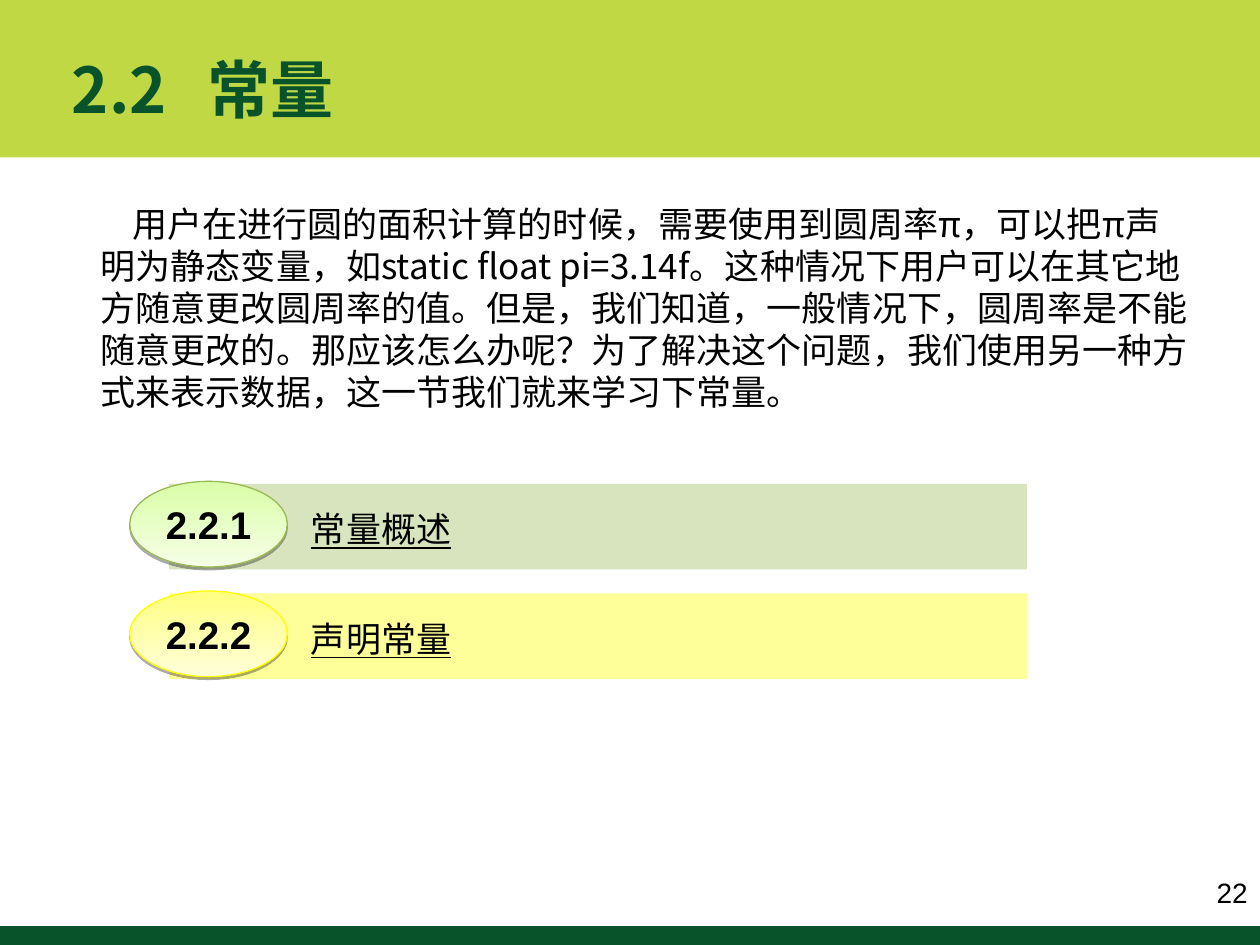
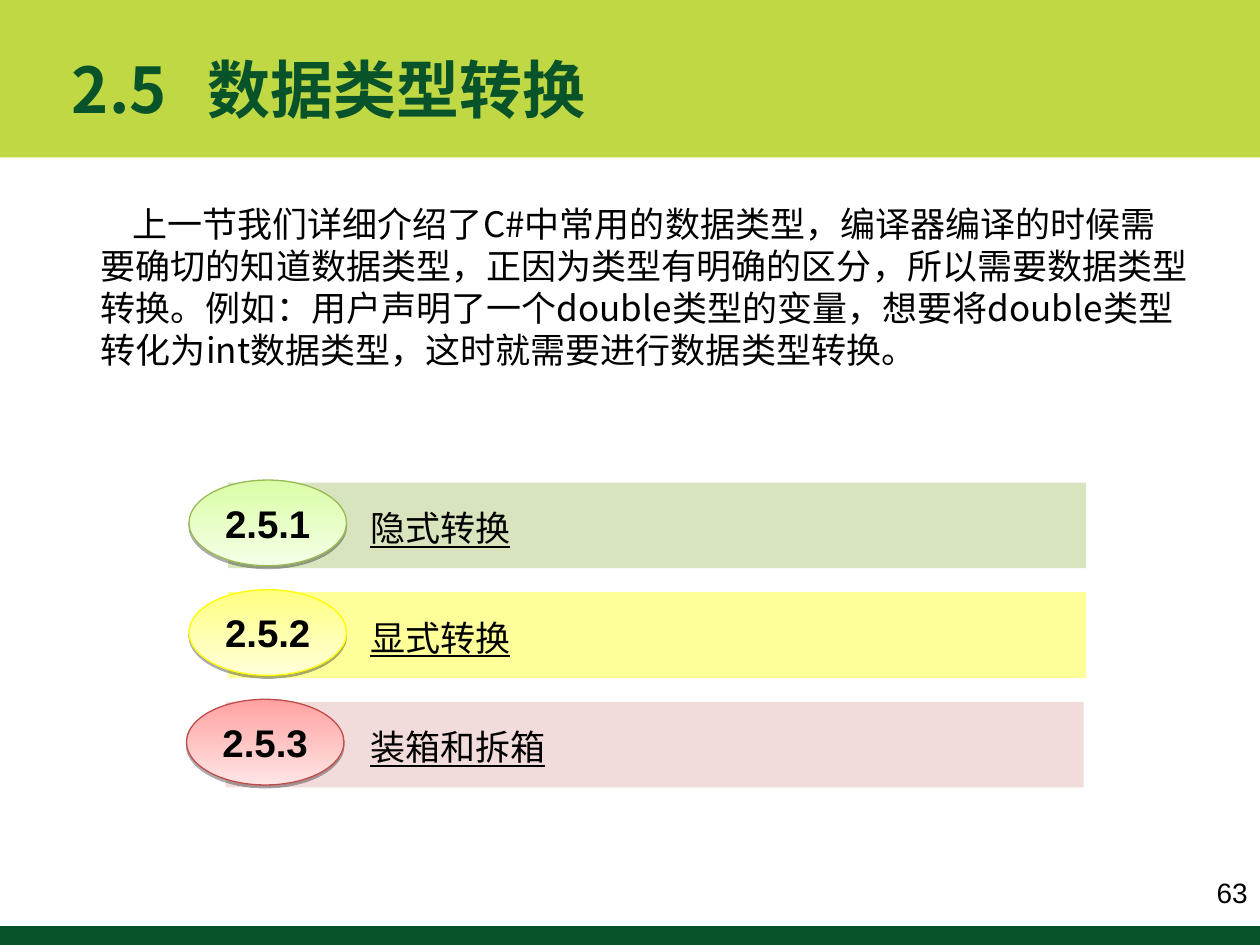
import pptx
import pptx.util
import pptx.dml.color
import pptx.enum.shapes
import pptx.enum.text
import pptx.oxml
import pptx.oxml.ns
import lxml.etree

Inches = pptx.util.Inches
Pt = pptx.util.Pt
RGB = pptx.dml.color.RGBColor.from_string
SHAPE = pptx.enum.shapes.MSO_SHAPE
ALIGN = pptx.enum.text.PP_ALIGN
ANCHOR = pptx.enum.text.MSO_ANCHOR
qn = pptx.oxml.ns.qn

COLORS = {"band": "BFD844", "dark": "09532A", "text": "000000"}
CHINESE = "Noto Sans CJK SC"

# Text formats
TITLE = {"name": CHINESE, "size": Pt(36), "bold": True, "color": "dark"}
BODY = {"name": CHINESE, "size": Pt(20), "bold": False, "color": "text"}
LINK = {**BODY, "underline": True}
NUMBER = {"name": "Arial", "size": Pt(22), "bold": True, "color": "text"}
PAGE = {"name": "Arial", "size": Pt(16), "bold": False, "color": "text"}

# One style per section row: bar fill, gradient from top to bottom, outline, sideways nudge
ROW_STYLES = [
    {"bar": "D7E4BD", "top": "DAFDA7", "bottom": "F5FFE6", "line": "98B954", "nudge": 0},
    {"bar": "FFFF99", "top": "FFFF80", "bottom": "FFFFDA", "line": "FFFF00", "nudge": 0},
    {"bar": "F2DCDB", "top": "FFA2A1", "bottom": "FFE5E5", "line": "BE4B48", "nudge": -0.02},
]
ROW_PITCH = 0.87

SLIDES = [
    {
        "section": "2.2", "title": "常量", "page": "22",
        "rows_left": 1.03, "rows_top": 3.82, "intro_height": 1.77,
        "intro": "用户在进行圆的面积计算的时候，需要使用到圆周率π，可以把π声明为静态变量，"
                 "如static float pi=3.14f。这种情况下用户可以在其它地方随意更改圆周率的值。"
                 "但是，我们知道，一般情况下，圆周率是不能随意更改的。那应该怎么办呢？"
                 "为了解决这个问题，我们使用另一种方式来表示数据，这一节我们就来学习下常量。",
        "topics": ["常量概述", "声明常量"],
    },
    {
        "section": "2.5", "title": "数据类型转换", "page": "63",
        "rows_left": 1.5, "rows_top": 3.81, "intro_height": 1.44,
        "intro": "上一节我们详细介绍了C#中常用的数据类型，编译器编译的时候需要确切的知道数据类型，"
                 "正因为类型有明确的区分，所以需要数据类型转换。例如：用户声明了一个double类型的变量，"
                 "想要将double类型转化为int数据类型，这时就需要进行数据类型转换。",
        "topics": ["隐式转换", "显式转换", "装箱和拆箱"],
    },
]


def write_text(shape, text, text_format, align=ALIGN.LEFT, anchor=ANCHOR.TOP, wrap=True):
    """Put one formatted paragraph in a shape and return the paragraph."""
    frame = shape.text_frame
    frame.word_wrap = wrap
    frame.auto_size = pptx.enum.text.MSO_AUTO_SIZE.NONE
    frame.vertical_anchor = anchor
    paragraph = frame.paragraphs[0]
    paragraph.alignment = align
    paragraph.space_before = Pt(0)
    run = paragraph.add_run()
    run.text = text
    for key, value in text_format.items():
        if key == "color":
            run.font.color.rgb = RGB(COLORS[value])
        else:
            setattr(run.font, key, value)
    east_asian = lxml.etree.SubElement(run.font._element, qn("a:ea"))
    east_asian.set("typeface", text_format["name"])
    if text_format["size"] == BODY["size"]:
        paragraph.line_spacing = Pt(24)
    return paragraph


def add_plain_shape(shapes, kind, left, top, width, height, fill):
    """Add a filled shape without outline or shadow."""
    shape = shapes.add_shape(kind, Inches(left), Inches(top), Inches(width), Inches(height))
    shape.shadow.inherit = False
    shape.fill.solid()
    shape.fill.fore_color.rgb = RGB(fill)
    shape.line.fill.background()
    return shape


presentation = pptx.Presentation()
presentation.slide_width = Inches(10)
presentation.slide_height = Inches(7.5)
first_master_shape = presentation.slide_master.shapes[0]

for slide_index, content in enumerate(SLIDES):
    slide = presentation.slides.add_slide(presentation.slide_layouts[1])

    # Bands, drawn once and moved to the back of the master
    if slide_index == 0:
        for top, height, color in [(0, 1.25, "band"), (7.35, 0.15, "dark")]:
            band = add_plain_shape(slide.shapes, SHAPE.RECTANGLE, 0, top, 10, height, COLORS[color])
            first_master_shape.element.addprevious(band.element)

    # Title, with a tab between section number and name
    title = slide.shapes.title
    title.left, title.top, title.width, title.height = map(Inches, (0.47, 0.23, 6.8, 0.95))
    paragraph = write_text(title, content["section"] + "\t" + content["title"], TITLE,
                           anchor=ANCHOR.MIDDLE)
    tabs = lxml.etree.SubElement(paragraph._p.get_or_add_pPr(), qn("a:tabLst"))
    lxml.etree.SubElement(tabs, qn("a:tab"), pos=str(Inches(1.08)), algn="l")

    # Introduction without bullet, first line indented
    intro = slide.placeholders[1]
    intro.left, intro.top, intro.width, intro.height = map(
        Inches, (0.7, 1.56, 8.83, content["intro_height"]))
    paragraph = write_text(intro, content["intro"], BODY)
    properties = paragraph._p.get_or_add_pPr()
    properties.set("marL", "0")
    properties.set("indent", str(Inches(0.25)))
    lxml.etree.SubElement(properties, qn("a:buNone"))

    # Section rows: bar and numbered ellipse in a group, then the topic
    for row, (topic, style) in enumerate(zip(content["topics"], ROW_STYLES)):
        left = content["rows_left"]
        top = content["rows_top"] + row * ROW_PITCH
        group = slide.shapes.add_group_shape()
        add_plain_shape(group.shapes, SHAPE.RECTANGLE, left + 0.31 + style["nudge"], top + 0.02,
                        6.81, 0.68, style["bar"])
        ellipse = add_plain_shape(group.shapes, SHAPE.OVAL, left + style["nudge"], top,
                                  1.25, 0.68, style["top"])
        ellipse.fill.gradient()
        ellipse.fill.gradient_angle = 270
        for stop, position, color in zip(ellipse.fill.gradient_stops, (0, 1), ("top", "bottom")):
            stop.position = position
            stop.color.rgb = RGB(style[color])
        ellipse.line.color.rgb = RGB(style["line"])
        ellipse.line.width = Pt(0.75)
        effects = ellipse.element.spPr.find(qn("a:effectLst"))
        shadow = lxml.etree.SubElement(effects, qn("a:outerShdw"), blurRad="0",
                                       dist=str(Pt(1.6)), dir="5400000", rotWithShape="0")
        shadow_color = lxml.etree.SubElement(shadow, qn("a:srgbClr"), val=COLORS["text"])
        lxml.etree.SubElement(shadow_color, qn("a:alpha"), val="33000")
        write_text(ellipse, f"{content['section']}.{row + 1}", NUMBER,
                   ALIGN.CENTER, ANCHOR.MIDDLE, wrap=False)

        label = slide.shapes.add_textbox(Inches(left + 1.34), Inches(top + 0.16),
                                         Inches(3.44), Inches(0.44))
        write_text(label, topic, LINK)

    # Page number
    page = slide.shapes.add_textbox(Inches(9.25), Inches(6.9), Inches(0.75), Inches(0.37))
    write_text(page, content["page"], PAGE, ALIGN.RIGHT)

presentation.save("out.pptx")
